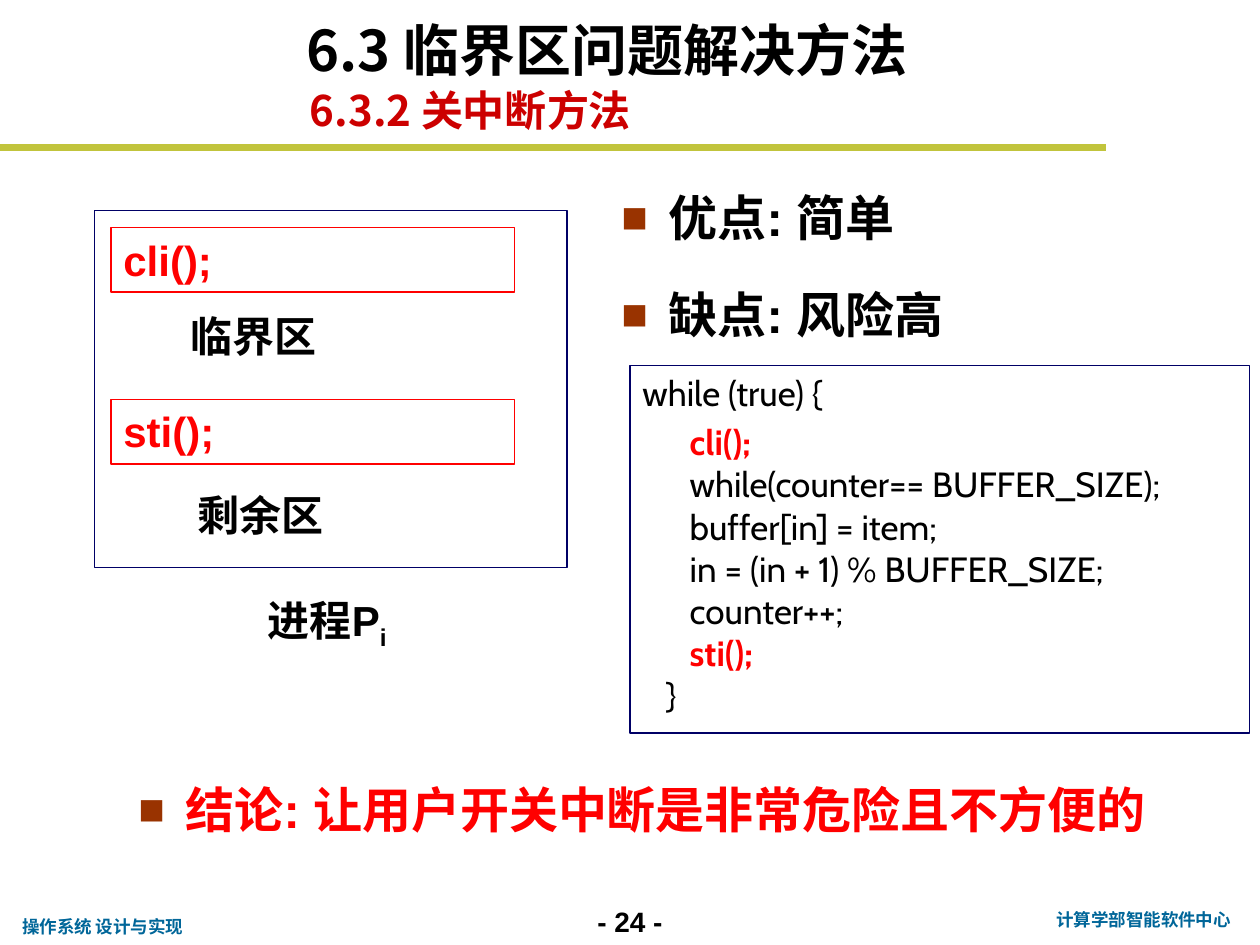
from lxml import etree
from pptx import Presentation
from pptx.dml.color import RGBColor
from pptx.enum import shapes, text
from pptx.oxml import ns
from pptx.util import Pt

HUES = {"black": "000000", "red": "FF0000", "navy": "000066", "white": "FFFFFF",
        "teal": "006699", "lime": "C1C43C", "rust": "993300", "crimson": "CC0000"}
HAN = "Noto Sans CJK SC"
MID = text.PP_ALIGN.CENTER
TOP = text.MSO_ANCHOR.TOP


class Deck:
    """Holds the style and the current slide, and draws each kind of element."""

    def __init__(self, slide):
        self.slide = slide
        self.font = "Arial"

    def hue(self, name):
        return RGBColor.from_string(HUES[name])

    def node(self, parent, tag, **attrs):
        return etree.SubElement(parent, ns.qn(tag), attrs)

    def run(self, para, words, size, hue="black", bold=True, font=None, base=None):
        run = para.add_run()
        run.text = words
        face = run.font
        face.size, face.bold, face.name = Pt(size), bold, font or self.font
        face.color.rgb = self.hue(hue)
        props = face._element
        self.node(props, "a:ea", typeface=HAN)
        if base:
            props.set("baseline", str(base))

    def frame(self, box, anchor=TOP):
        frame = box.text_frame
        frame.word_wrap = True
        frame.vertical_anchor = anchor
        return frame

    def label(self, area, words, size, hue="black", align=None, anchor=TOP, font=None):
        box = self.slide.shapes.add_textbox(*map(Pt, area))
        para = self.frame(box, anchor).paragraphs[0]
        para.alignment = align
        self.run(para, words, size, hue, font=font)
        return para

    def bullet(self, area, words, hue="black"):
        para = self.label(area, words, 28, hue)
        para.line_spacing = 1.3
        props = para._p.get_or_add_pPr()
        props.set("marL", str(Pt(27)))
        props.set("indent", str(-Pt(27)))
        tint = self.node(props, "a:buClr")
        self.node(tint, "a:srgbClr", val=HUES["rust"])
        self.node(props, "a:buSzPct", val="90000")
        self.node(props, "a:buFont", typeface=self.font)
        self.node(props, "a:buChar", char="■")

    def rect(self, area, edge, fill=None, words=None):
        box = self.slide.shapes.add_shape(shapes.MSO_SHAPE.RECTANGLE, *map(Pt, area))
        box.shadow.inherit = False
        if fill:
            box.fill.solid()
            box.fill.fore_color.rgb = self.hue(fill)
        else:
            box.fill.background()
        box.line.color.rgb = self.hue(edge)
        box.line.width = Pt(0.75)
        if words:
            para = self.frame(box).paragraphs[0]
            para.alignment = text.PP_ALIGN.LEFT
            self.run(para, words, 24, edge)

    def rule(self, left, top, right, hue, width):
        line = self.slide.shapes.add_connector(
            shapes.MSO_CONNECTOR.STRAIGHT, Pt(left), Pt(top), Pt(right), Pt(top))
        line.line.color.rgb = self.hue(hue)
        line.line.width = Pt(width)
        self.node(line._element.spPr, "a:effectLst")

    def code(self, area, rows):
        frame = self.frame(self.slide.shapes.add_textbox(*map(Pt, area)))
        for i, (inset, words, hot) in enumerate(rows):
            para = frame.add_paragraph() if i else frame.paragraphs[0]
            para._p.get_or_add_pPr().set("marL", str(Pt(inset)))
            if i == 1:
                para.space_before = Pt(4)
            self.run(para, words, 20, "red" if hot else "black", hot, "Cabin")


def main():
    show = Presentation()
    show.slide_width, show.slide_height = Pt(720), Pt(540)
    deck = Deck(show.slides.add_slide(show.slide_layouts[6]))

    deck.label((324, 513.4, 72, 26.6), "- 24 -", 16, align=MID)
    deck.rule(0, 84.4, 632, "lime", 4)
    deck.label((594, 516, 119, 19.4), "计算学部智能软件中心", 10, "teal", MID)
    deck.label((5.6, 520, 112, 19.4), "操作系统 设计与实现", 10, "teal")

    deck.rect((54, 120.4, 270, 204), "navy")
    for top, call in ((130.2, "cli();"), (228.4, "sti();")):
        deck.rect((63.4, top, 230.6, 36.8), "red", words=call)
    for left, top, zone in ((66, 174, "临界区"), (70, 276, "剩余区")):
        deck.label((left, top, 158, 36), zone, 24, align=MID)
    para = deck.label((90, 336, 194, 36), "进程P", 24, align=MID)
    deck.run(para, "i", 24, base=-25000)

    deck.bullet((72, 432, 606, 68), "结论: 让用户开关中断是非常危险且不方便的", "red")
    for top, words in ((93.6, "优点: 简单"), (149, "缺点: 风险高")):
        deck.bullet((348, top, 282, 68), words)

    deck.rect((360, 209, 354, 210), "navy", "white")
    deck.code((360, 209, 342, 204), (
        (0, "while (true) {", False),
        (27, "cli();", True),
        (27, "while(counter== BUFFER_SIZE);", False),
        (27, "buffer[in] = item;", False),
        (27, "in = (in + 1) % BUFFER_SIZE;", False),
        (27, "counter++;", False),
        (27, "sti();", True),
        (13.5, "}", False)))

    deck.label((168, 6, 396, 45), "6.3 临界区问题解决方法", 32,
               anchor=text.MSO_ANCHOR.BOTTOM, font=HAN)
    deck.label((170, 47.6, 268, 30), "6.3.2 关中断方法", 24, "crimson",
               anchor=text.MSO_ANCHOR.MIDDLE, font=HAN)
    show.save("out.pptx")


if __name__ == "__main__":
    main()
